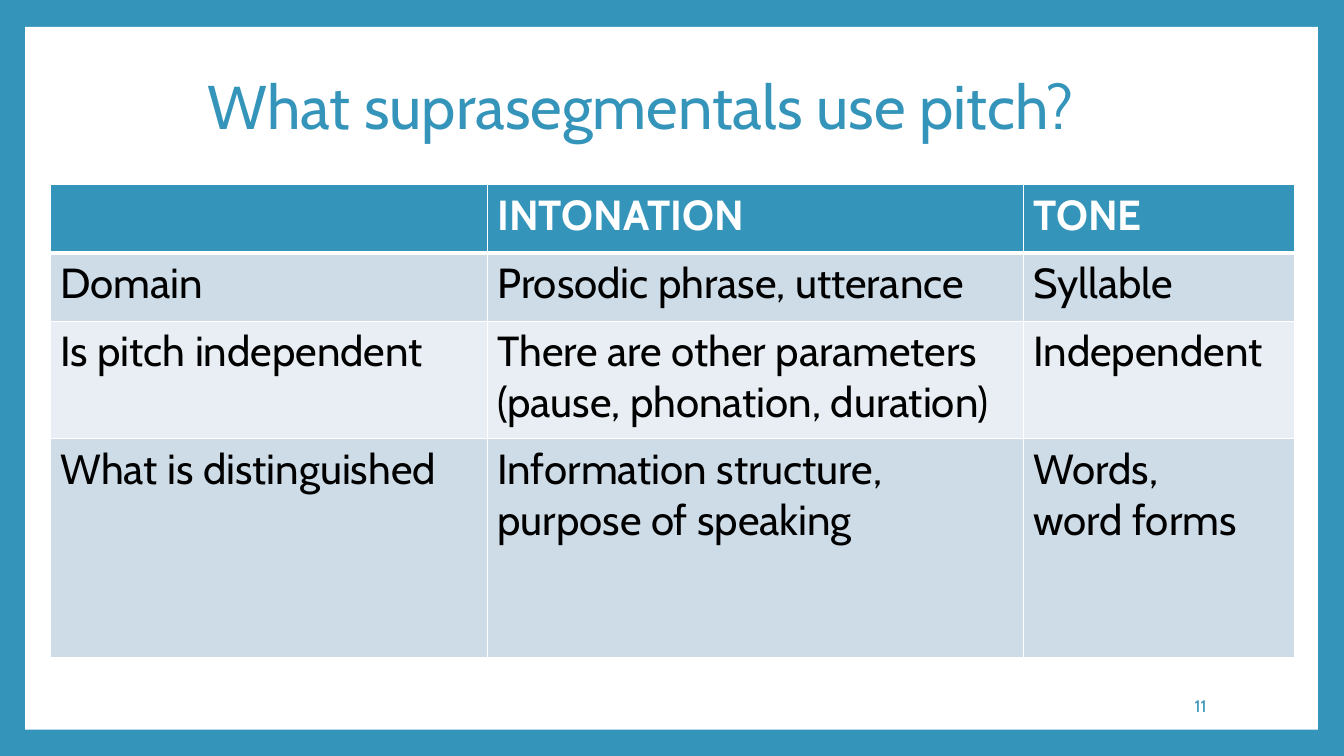
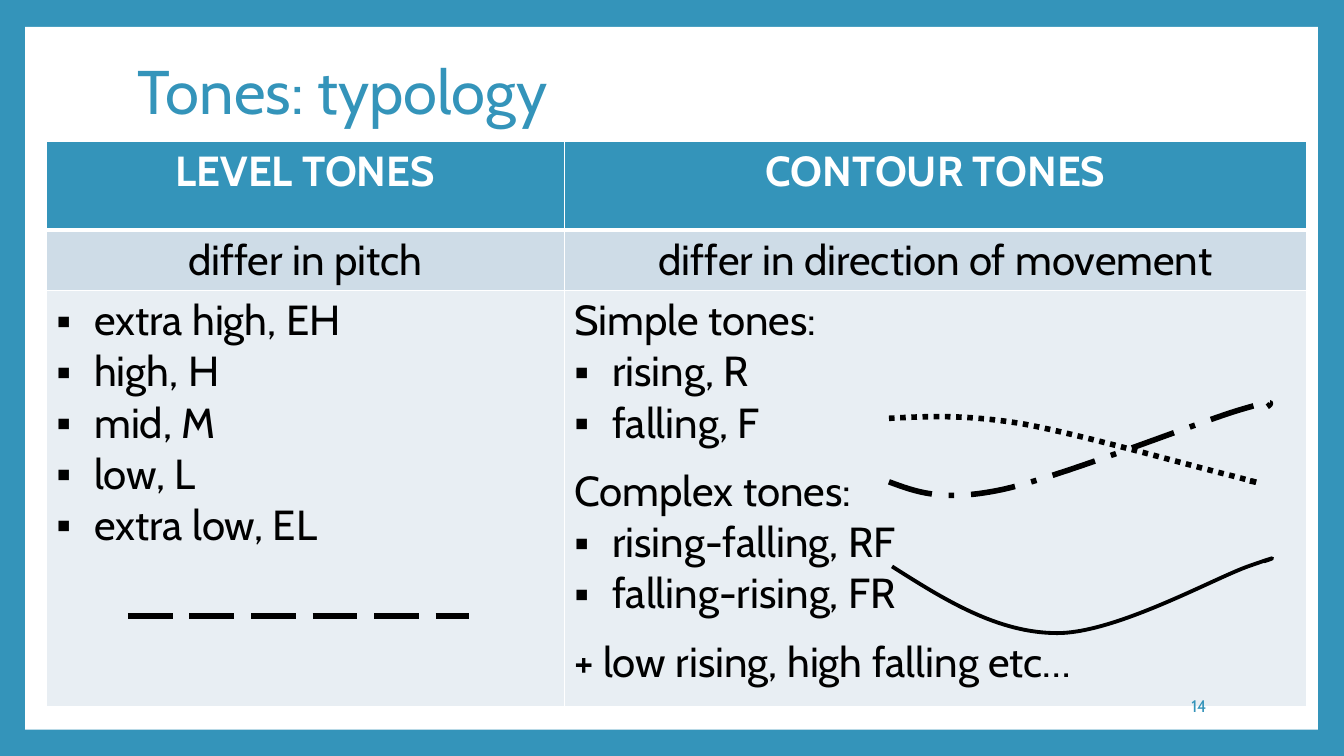
from dataclasses import dataclass
from typing import Optional

import lxml.etree
import pptx
import pptx.dml.color
import pptx.enum.dml
import pptx.enum.shapes
import pptx.enum.text
import pptx.oxml.ns
import pptx.slide
import pptx.util

Pt = pptx.util.Pt
qn = pptx.oxml.ns.qn
Align = pptx.enum.text.PP_ALIGN
Dash = pptx.enum.dml.MSO_LINE

COLORS = {
    "accent": "3494BA",
    "paper": "FFFFFF",
    "ink": "000000",
    "band_dark": "CEDCE7",
    "band_light": "E8EEF3",
}
FONT = "Cabin"
BULLET_FONT = "Arial"
TABLE_SIZE = 30
BULLET_INDENT = 27
GROUP_GAP = 12.6


@dataclass(frozen=True)
class Box:
    left: float
    top: float
    width: float
    height: float


@dataclass(frozen=True)
class Entry:
    text: str
    bullet: bool = False
    centered: bool = False
    gap: float = 0


@dataclass(frozen=True)
class Grid:
    left: float
    top: float
    columns: list[float]
    rows: list[float]
    cells: list[list[list[Entry]]]


@dataclass(frozen=True)
class ToneCurve:
    points: list[tuple[float, float]]
    weight: float
    dash: Optional[Dash] = None


PANEL = Box(18, 19.2, 923.4, 502)
NUMBER_BOX = Box(734.4, 490, 134.6, 28.8)

PITCH_GRID = Grid(
    36, 131.8, [312.1, 382.9, 193.9], [48.9, 48.8, 84, 156],
    [
        [[], [Entry("INTONATION")], [Entry("TONE")]],
        [[Entry("Domain")], [Entry("Prosodic phrase, utterance")], [Entry("Syllable")]],
        [
            [Entry("Is pitch independent")],
            [Entry("There are other parameters (pause, phonation, duration)")],
            [Entry("Independent")],
        ],
        [
            [Entry("What is distinguished")],
            [Entry("Information structure, purpose of speaking")],
            [Entry("Words,"), Entry("word forms")],
        ],
    ],
)

LEVEL_TONES = ["extra high, EH", "high, H", "mid, M", "low, L", "extra low, EL"]
TYPOLOGY_GRID = Grid(
    33.1, 100.8, [370, 530.2], [63.4, 42.9, 297.4],
    [
        [[Entry("LEVEL TONES", centered=True)], [Entry("CONTOUR TONES", centered=True)]],
        [
            [Entry("differ in pitch", centered=True)],
            [Entry("differ in direction of movement", centered=True)],
        ],
        [
            [Entry(tone, bullet=True) for tone in LEVEL_TONES],
            [
                Entry("Simple tones:"),
                Entry("rising, R", bullet=True),
                Entry("falling, F", bullet=True),
                Entry("Complex tones:", gap=GROUP_GAP),
                Entry("rising-falling, RF", bullet=True),
                Entry("falling-rising, FR", bullet=True),
                Entry("+ low rising, high falling etc…", gap=GROUP_GAP),
            ],
        ],
    ],
)

FALLING = ToneCurve(
    [(635, 298.8), (661.7, 297.4), (687.6, 295.9), (728.6, 302.4), (769.7, 309.6),
     (853.2, 333.4), (879.8, 339.8), (907.2, 347), (899.3, 344.9), (892.1, 343.4)],
    4, Dash.ROUND_DOT,
)
FALLING_RISING = ToneCurve(
    [(637.2, 404.6), (674.6, 428.4), (712.8, 452.2), (755.3, 452.2), (797, 452.2),
     (866.9, 413.3), (891.4, 404.6), (915.8, 396), (909.4, 398.9), (902.9, 401)],
    2.75,
)
RISING = ToneCurve(
    [(635, 344.2), (654.5, 351.4), (673.2, 358.6), (715, 349.9), (756, 341.3),
     (853.9, 302.4), (884.9, 293), (915.8, 283.7), (908.6, 288.7), (901.4, 293)],
    4, Dash.LONG_DASH_DOT,
)


def rgb(name: str) -> pptx.dml.color.RGBColor:
    return pptx.dml.color.RGBColor.from_string(COLORS[name])


def place(box: Box) -> tuple[int, int, int, int]:
    return Pt(box.left), Pt(box.top), Pt(box.width), Pt(box.height)


def add_run(paragraph, text: str, size: float, color: str, bold: bool = False) -> None:
    run = paragraph.add_run()
    run.text = text
    run.font.name = FONT
    run.font.size = Pt(size)
    run.font.bold = bold
    run.font.color.rgb = rgb(color)


def add_label(
    slide: pptx.slide.Slide, box: Box, text: str, size: float,
    align: Align = Align.LEFT, spacing: float = 1.0,
) -> None:
    frame = slide.shapes.add_textbox(*place(box)).text_frame
    frame.word_wrap = True
    frame.vertical_anchor = pptx.enum.text.MSO_ANCHOR.MIDDLE
    paragraph = frame.paragraphs[0]
    paragraph.alignment = align
    paragraph.line_spacing = spacing
    add_run(paragraph, text, size, "accent")


def add_number(slide: pptx.slide.Slide, number: int) -> None:
    add_label(slide, NUMBER_BOX, str(number), 12, Align.RIGHT)


def add_framed_slide(deck, title: str, title_box: Box) -> pptx.slide.Slide:
    slide = deck.slides.add_slide(deck.slide_layouts[6])
    slide.background.fill.solid()
    slide.background.fill.fore_color.rgb = rgb("accent")
    panel = slide.shapes.add_shape(
        pptx.enum.shapes.MSO_SHAPE.RECTANGLE, *place(PANEL)
    )
    panel.shadow.inherit = False
    panel.fill.solid()
    panel.fill.fore_color.rgb = rgb("paper")
    panel.line.fill.background()
    add_label(slide, title_box, title, 44, spacing=0.9)
    return slide


def add_borders(cell, row: int) -> None:
    properties = cell._tc.get_or_add_tcPr()
    widths = {"lnL": 1, "lnR": 1, "lnT": 3 if row == 1 else 1, "lnB": 3 if row == 0 else 1}
    for side, width in widths.items():
        border = lxml.etree.SubElement(properties, qn(f"a:{side}"), w=str(Pt(width)))
        fill = lxml.etree.SubElement(border, qn("a:solidFill"))
        lxml.etree.SubElement(fill, qn("a:srgbClr"), val=COLORS["paper"])


def add_bullet(paragraph) -> None:
    properties = paragraph._p.get_or_add_pPr()
    properties.set("marL", str(Pt(BULLET_INDENT)))
    properties.set("indent", str(-Pt(BULLET_INDENT)))
    lxml.etree.SubElement(properties, qn("a:buFont"), typeface=BULLET_FONT)
    lxml.etree.SubElement(properties, qn("a:buChar"), char="▪")


def fill_cell(cell, entries: list[Entry], row: int) -> None:
    header = row == 0
    add_borders(cell, row)
    cell.fill.solid()
    band = "band_dark" if row % 2 else "band_light"
    cell.fill.fore_color.rgb = rgb("accent" if header else band)
    for index, entry in enumerate(entries):
        frame = cell.text_frame
        paragraph = frame.add_paragraph() if index else frame.paragraphs[0]
        paragraph.alignment = Align.CENTER if entry.centered else Align.LEFT
        if entry.gap:
            paragraph.space_before = Pt(entry.gap)
        if entry.bullet:
            add_bullet(paragraph)
        add_run(paragraph, entry.text, TABLE_SIZE, "paper" if header else "ink", header)


def add_grid(slide: pptx.slide.Slide, grid: Grid) -> None:
    box = Box(grid.left, grid.top, sum(grid.columns), sum(grid.rows))
    table = slide.shapes.add_table(
        len(grid.rows), len(grid.columns), *place(box)
    ).table
    table.horz_banding = False
    for column, width in zip(table.columns, grid.columns):
        column.width = Pt(width)
    for row, height in enumerate(grid.rows):
        table.rows[row].height = Pt(height)
        for column, entries in enumerate(grid.cells[row]):
            fill_cell(table.cell(row, column), entries, row)


def style_stroke(line, weight: float, dash: Optional[Dash]) -> None:
    line.color.rgb = rgb("ink")
    line.width = Pt(weight)
    if dash is not None:
        line.dash_style = dash


def bend_segments(contour) -> None:
    segments = list(contour._element.iter(qn("a:lnTo")))
    for start in range(0, len(segments), 3):
        arc = lxml.etree.SubElement(segments[start].getparent(), qn("a:cubicBezTo"))
        for segment in segments[start:start + 3]:
            arc.append(segment[0])
            segment.getparent().remove(segment)


def add_tone_curve(slide: pptx.slide.Slide, curve: ToneCurve) -> None:
    start, *controls = [(Pt(x), Pt(y)) for x, y in curve.points]
    outline = slide.shapes.build_freeform(*start)
    outline.add_line_segments(controls, close=False)
    contour = outline.convert_to_shape()
    bend_segments(contour)
    contour.shadow.inherit = False
    contour.fill.background()
    style_stroke(contour.line, curve.weight, curve.dash)


def add_level_tone(slide: pptx.slide.Slide) -> None:
    level = slide.shapes.add_connector(
        pptx.enum.shapes.MSO_CONNECTOR.STRAIGHT, Pt(91.4), Pt(439.8), Pt(334.8), Pt(439.8)
    )
    style_stroke(level.line, 4, Dash.LONG_DASH)
    lxml.etree.SubElement(level._element.spPr, qn("a:effectLst"))


def main() -> None:
    deck = pptx.Presentation()
    deck.slide_width, deck.slide_height = Pt(960), Pt(540)

    pitch = add_framed_slide(
        deck, "What suprasegmentals use pitch?", Box(141, 25.2, 774, 106.6)
    )
    add_number(pitch, 11)
    add_grid(pitch, PITCH_GRID)

    typology = add_framed_slide(deck, "Tones: typology", Box(91.4, 14.1, 777.6, 106.6))
    add_grid(typology, TYPOLOGY_GRID)
    add_number(typology, 14)
    add_level_tone(typology)
    for curve in (FALLING, FALLING_RISING, RISING):
        add_tone_curve(typology, curve)

    deck.save("out.pptx")


if __name__ == "__main__":
    main()
